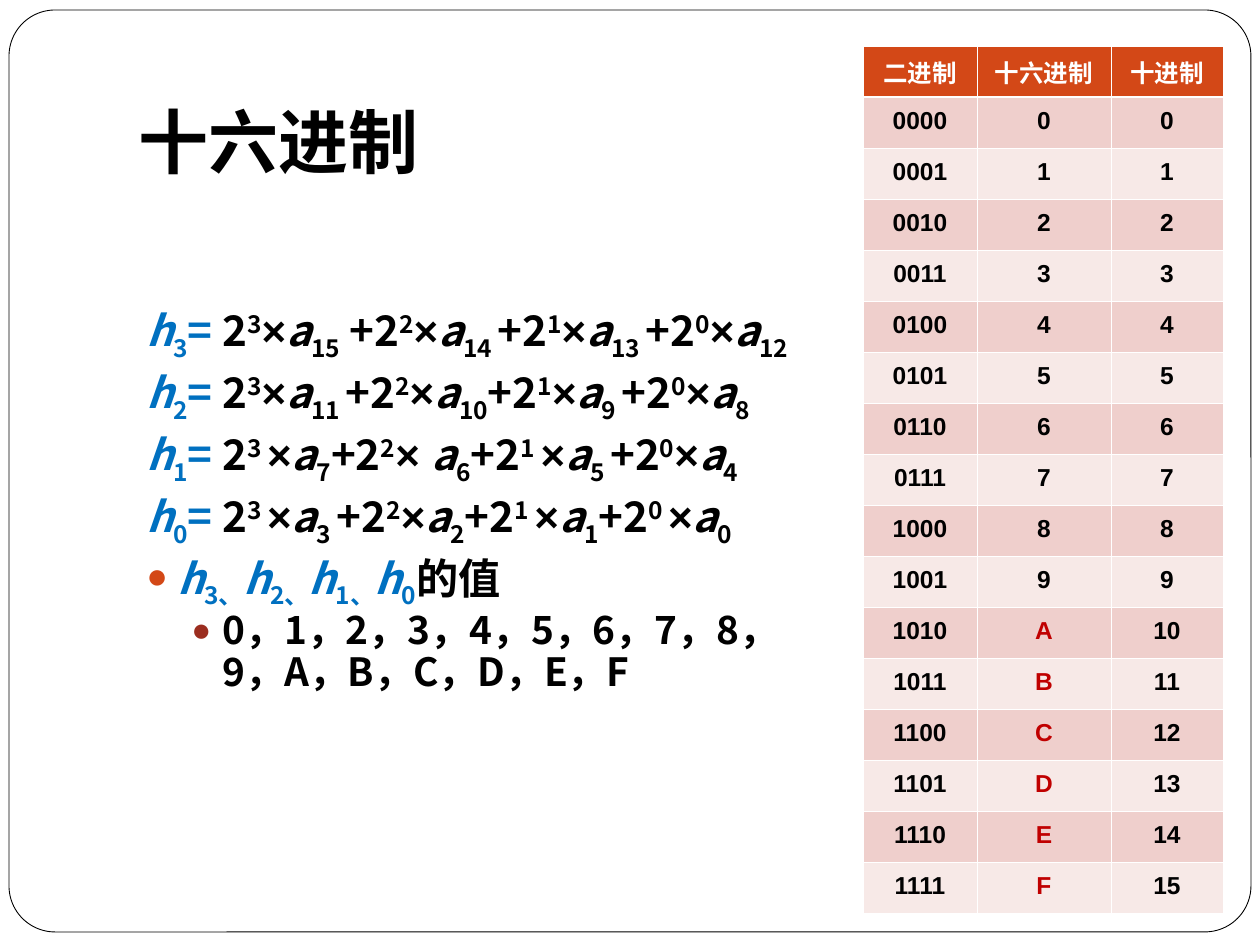
"""Build a slide on hexadecimal digits with a table of number forms."""
import dataclasses

import pptx
import pptx.dml.color
import pptx.enum.shapes
import pptx.enum.text
import pptx.oxml
import pptx.oxml.ns
import pptx.util

Pt = pptx.util.Pt
SCALE = 914400 / 126
BASES = {"_": "-25000", "^": "30000"}


@dataclasses.dataclass(frozen=True)
class Theme:
    black: str = "000000"
    white: str = "FFFFFF"
    blue: str = "0070C0"
    red: str = "C00000"
    rust: str = "D34817"
    brick: str = "9B2D1F"
    bands: tuple = ("EFCFCC", "F7E9E7")
    sans: str = "Noto Sans CJK SC"
    plain: str = "Arial"
    serif: str = "Times New Roman"
    title: float = 40
    body: float = 24.1
    sub: float = 22.2
    cell: float = 14


def px(count):
    return round(count * SCALE)


def tint(code):
    return pptx.dml.color.RGBColor.from_string(code)


def xml(tag, attrs="", inner=""):
    space = pptx.oxml.ns.nsdecls("a")
    return pptx.oxml.parse_xml(f"<a:{tag} {space} {attrs}>{inner}</a:{tag}>")


class Deck:
    def __init__(self, theme):
        self.theme = theme
        self.show = pptx.Presentation()
        self.show.slide_width, self.show.slide_height = px(1260), px(945)
        self.slide = self.show.slides.add_slide(self.show.slide_layouts[5])

    def font(self, para, size, name, color):
        font = para.font
        font.size, font.bold, font.name = Pt(size), True, name
        font.color.rgb = tint(color)
        font._element.append(xml("ea", f'typeface="{self.theme.sans}"'))

    def frame(self, left, top, width, height):
        kind = pptx.enum.shapes.MSO_SHAPE.ROUNDED_RECTANGLE
        shape = self.slide.shapes.add_shape(kind, px(left), px(top), px(width), px(height))
        shape.adjustments[0] = 0.05
        shape.shadow.inherit = False
        shape.fill.solid()
        shape.fill.fore_color.rgb = tint(self.theme.white)
        shape.line.color.rgb = tint(self.theme.black)
        shape.line.width = Pt(0.5)
        self.slide.shapes._spTree.insert(2, shape._element)

    def title(self, text, left, top, width, height):
        shape = self.slide.shapes.title
        shape.left, shape.top, shape.width, shape.height = map(px, (left, top, width, height))
        box = shape.text_frame
        box.text = text
        box.auto_size = pptx.enum.text.MSO_AUTO_SIZE.NONE
        box.vertical_anchor = pptx.enum.text.MSO_ANCHOR.BOTTOM
        box.margin_bottom = px(13)
        para = box.paragraphs[0]
        para.alignment = pptx.enum.text.PP_ALIGN.LEFT
        self.font(para, self.theme.title, self.theme.sans, self.theme.black)

    def box(self, left, top, width, height):
        shape = self.slide.shapes.add_textbox(px(left), px(top), px(width), px(height))
        shape.text_frame.word_wrap = True
        return shape.text_frame

    def para(self, box, size, gap):
        first = box.paragraphs[0]
        para = box.add_paragraph() if first.runs else first
        para.line_spacing, para.space_before = 0.9, Pt(gap)
        self.font(para, size, self.theme.sans, self.theme.black)
        return para

    def bullet(self, para, color, left, hang):
        props = para._p.get_or_add_pPr()
        props.set("marL", str(px(left)))
        props.set("indent", str(-px(hang)))
        marks = (xml("buClr", inner=f'<a:srgbClr val="{color}"/>'),
                 xml("buSzPct", 'val="85000"'),
                 xml("buFont", f'typeface="{self.theme.plain}"'),
                 xml("buChar", 'char="●"'))
        spot = props.find(pptx.oxml.ns.qn("a:defRPr"))
        for mark in marks:
            spot.addprevious(mark)

    def ink(self, para, text, color):
        for part in text.split("|"):
            run = para.add_run()
            run.text = part.lstrip("*_^")
            run.font.color.rgb = tint(color)
            if part[0] == "*":
                run.font.italic = True
            elif part[0] in BASES:
                run.font._element.set("baseline", BASES[part[0]])
            elif part[0] == "×":
                run.font.name = self.theme.plain

    def cell(self, cell, text, fill, color, head):
        props = cell._tc.get_or_add_tcPr()
        for side in "LRTB":
            wide = Pt(1.47 if head and side == "B" else 0.45)
            props.append(xml(f"ln{side}", f'w="{wide}"',
                             f'<a:solidFill><a:srgbClr val="{self.theme.white}"/></a:solidFill>'))
        cell.fill.solid()
        cell.fill.fore_color.rgb = tint(fill)
        cell.vertical_anchor = pptx.enum.text.MSO_ANCHOR.MIDDLE
        cell.text = text
        para = cell.text_frame.paragraphs[0]
        para.alignment = pptx.enum.text.PP_ALIGN.CENTER
        if not head:
            para.line_spacing, para.space_before = 0.85, Pt(3.5)
        name = self.theme.serif if head else self.theme.plain
        self.font(para, self.theme.cell, name, color)

    def table(self, heads, rows, left, top, widths, high):
        theme = self.theme
        lines = [heads, *rows]
        grid = self.slide.shapes.add_table(len(lines), len(heads), px(left), px(top),
                                           px(sum(widths)), px(high * len(lines))).table
        for col, width in zip(grid.columns, widths):
            col.width = px(width)
        for r, line in enumerate(lines):
            grid.rows[r].height = px(high)
            for c, text in enumerate(line):
                fill = theme.bands[(r - 1) % 2] if r else theme.rust
                color = theme.red if text.isalpha() else theme.black
                self.cell(grid.cell(r, c), text, fill, color if r else theme.white, r == 0)


def main():
    theme = Theme()
    deck = Deck(theme)
    deck.frame(9, 10, 1242, 922)
    deck.title("十六进制", 126, 38, 1071, 158)

    sums = [
        ("*h|_3|= ", "2|^3|×|*a|_15| +2|^2|×|*a|_14 |+2|^1|×|*a|_13 |+2|^0|×|*a|_12"),
        ("*h|_2|=", " 2|^3|×|*a|_11 |+2|^2|×|*a|_10|+2|^1|×|*a|_9 |+2|^0|×|*a|_8"),
        ("*h|_1|=", " 2|^3 |×|*a|_7|+2|^2|× |*a|_6|+2|^1 |×|*a|_5 |+2|^0|×|*a|_4"),
        ("*h|_0|=", " 2|^3 |×|*a|_3 |+2|^2|×|*a|_2|+2|^1 |×|*a|_1|+2|^0 |×|*a|_0"),
        ("*h|_3、|*h|_2、|*h|_1、|*h|_0", "的值"),
    ]
    box = deck.box(134, 299, 709, 546)
    for head, tail in sums:
        para = deck.para(box, theme.body, 5.8)
        deck.ink(para, head, theme.blue)
        deck.ink(para, tail, theme.black)
    deck.bullet(para, theme.rust, 31, 31)
    para = deck.para(box, theme.sub, 3.7)
    para.level = 1
    deck.bullet(para, theme.brick, 76, 31)
    deck.ink(para, "，".join("0123456789ABCDEF"), theme.black)

    rows = [(f"{n:04b}", f"{n:X}", str(n)) for n in range(16)]
    deck.table(("二进制", "十六进制", "十进制"), rows, 863, 46, (114, 134, 112), 51)
    deck.show.save("out.pptx")


if __name__ == "__main__":
    main()
